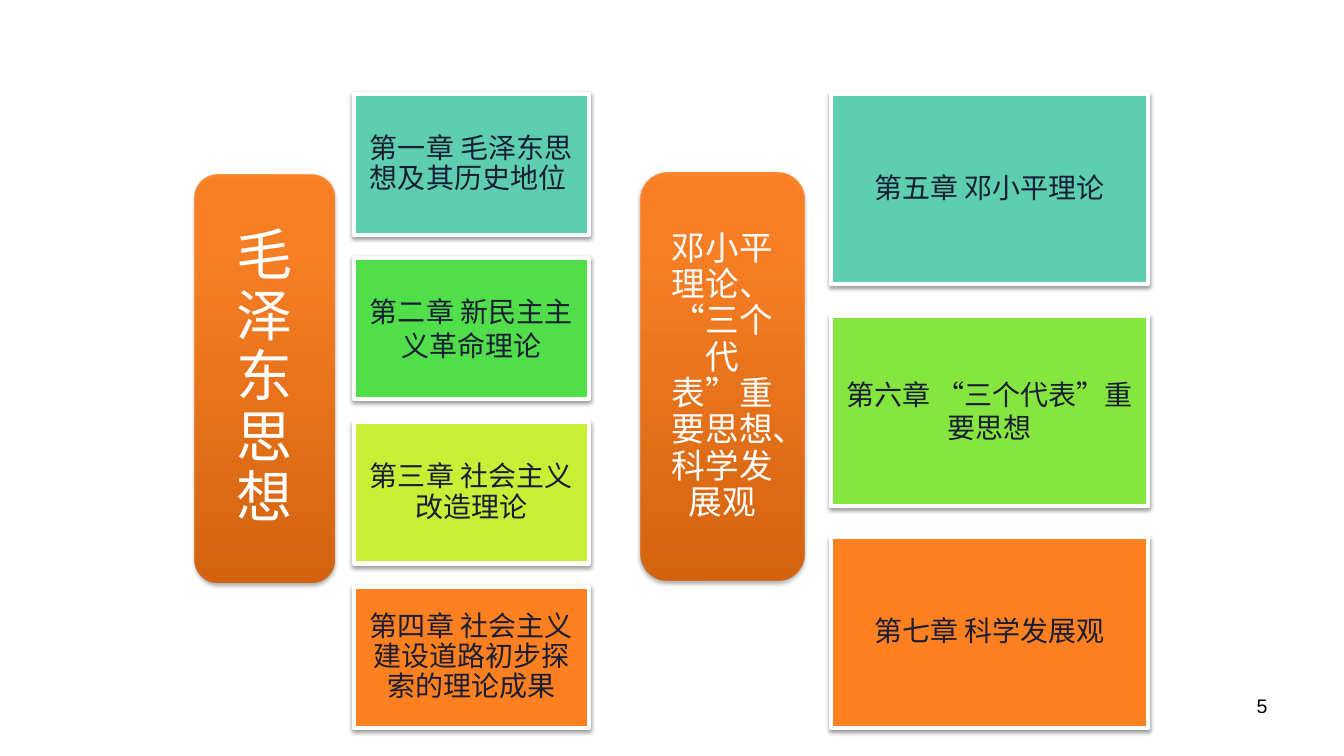
from lxml import etree
from pptx import Presentation
from pptx.dml.color import RGBColor
from pptx.enum.shapes import MSO_SHAPE
from pptx.enum.text import MSO_ANCHOR, PP_ALIGN
from pptx.oxml import parse_xml
from pptx.oxml.ns import nsdecls, qn
from pptx.util import Inches, Pt

COLORS = {
    "teal": "5DCEAF", "green": "50DE4A", "lime": "86E640", "yellow": "CAEE36",
    "orange": "FF8021", "dark": "191D34", "white": "FFFFFF", "black": "000000",
    "banner_bottom": "D75C00", "banner_middle": "FF7B18", "banner_top": "FF7C19",
}
BANNER_STOPS = [(0, "banner_bottom"), (80, "banner_middle"), (100, "banner_top")]
CHINESE_FONT = "Noto Sans CJK SC"
CHAPTERS_TOP, CHAPTERS_BOTTOM = 0.93, 7.22
MAO_CHAPTERS = [
    ("第一章 毛泽东思想及其历史地位 ", "teal", 0.9),
    ("第二章 新民主主义革命理论", "green", 1.0),
    ("第三章 社会主义改造理论", "yellow", 0.9),
    ("第四章 社会主义建设道路初步探索的理论成果", "orange", 0.9),
]
LATER_CHAPTERS = [
    ("第五章 邓小平理论", "teal", 0.9),
    ("第六章 “三个代表”重要思想", "lime", 1.0),
    ("第七章 科学发展观", "orange", 0.9),
]


def rgb(name):
    """Return the named colour."""
    return RGBColor.from_string(COLORS[name])


def add_shadow(shape, opacity, distance):
    """Give the shape a soft shadow that falls straight down."""
    shape.shadow.inherit = False
    effects = shape._element.spPr.find(qn("a:effectLst"))
    effects.append(parse_xml(
        f'<a:outerShdw {nsdecls("a")} blurRad="{Pt(3.1)}" dist="{Pt(distance)}" '
        f'dir="5400000" rotWithShape="0"><a:srgbClr val="{COLORS["black"]}">'
        f'<a:alpha val="{opacity * 1000}"/></a:srgbClr></a:outerShdw>'))


def fill_banner(shape):
    """Fill the banner with its vertical, slightly transparent gradient."""
    shape.fill.gradient()
    shape.fill.gradient_angle = 270
    gradient = shape._element.spPr.find(qn("a:gradFill"))
    gradient.find(qn("a:lin")).set("ang", "16200000")
    stops = gradient.find(qn("a:gsLst"))
    for stop in list(stops):
        stops.remove(stop)
    for position, color in BANNER_STOPS:
        stop = etree.SubElement(stops, qn("a:gs"), pos=str(position * 1000))
        tone = etree.SubElement(stop, qn("a:srgbClr"), val=COLORS[color])
        etree.SubElement(tone, qn("a:alpha"), val="90000")


def write_text(box, text, size, color, font=CHINESE_FONT, align=PP_ALIGN.CENTER,
               anchor=MSO_ANCHOR.MIDDLE, spacing=1.0, insets=(0.1, 0.05)):
    """Write one formatted paragraph into the box."""
    frame = box.text_frame
    frame.word_wrap = True
    frame.vertical_anchor = anchor
    frame.margin_left = frame.margin_right = Inches(insets[0])
    frame.margin_top = frame.margin_bottom = Inches(insets[1])
    para = frame.paragraphs[0]
    para.alignment = align
    para.line_spacing = spacing
    span = para.add_run()
    span.text = text
    span.font.size = Pt(size)
    span.font.name = font
    span.font.color.rgb = rgb(color)
    etree.SubElement(span.font._element, qn("a:ea"), typeface=font)


def add_chapters(page, left, width, height, chapters):
    """Stack the chapter cards evenly between the top and the bottom."""
    pitch = (CHAPTERS_BOTTOM - CHAPTERS_TOP - height) / (len(chapters) - 1)
    for index, (title, color, spacing) in enumerate(chapters):
        card = page.shapes.add_shape(
            MSO_SHAPE.RECTANGLE, Inches(left), Inches(CHAPTERS_TOP + index * pitch),
            Inches(width), Inches(height))
        card.fill.solid()
        card.fill.fore_color.rgb = rgb(color)
        card.line.color.rgb = rgb("white")
        card.line.width = Pt(3)
        add_shadow(card, 38, 1.6)
        write_text(card, title, 20, "dark", spacing=spacing, insets=(0.08, 0.08))


def add_banner(page, left, top, width, height, theory, size):
    """Draw the rounded banner that names a theory."""
    banner = page.shapes.add_shape(
        MSO_SHAPE.ROUNDED_RECTANGLE, Inches(left), Inches(top), Inches(width), Inches(height))
    fill_banner(banner)
    banner.line.fill.background()
    add_shadow(banner, 35, 1.8)
    write_text(banner, theory, size, "white", spacing=0.9, insets=(0.17, 0.22))


def add_page_number(page, left, top, width, height, number):
    """Write the page number at the lower right."""
    box = page.shapes.add_textbox(Inches(left), Inches(top), Inches(width), Inches(height))
    write_text(box, number, 14, "black", font="Arial", align=PP_ALIGN.RIGHT,
               anchor=MSO_ANCHOR.TOP)


def main():
    """Build the chapter overview and save it."""
    deck = Presentation()
    deck.slide_width, deck.slide_height = Inches(13.33), Inches(7.5)
    page = deck.slides.add_slide(deck.slide_layouts[6])
    add_chapters(page, 3.51, 2.33, 1.4, MAO_CHAPTERS)
    add_banner(page, 1.93, 1.73, 1.39, 4.05, "毛泽东思想", 40)
    add_chapters(page, 8.24, 3.15, 1.89, LATER_CHAPTERS)
    add_banner(page, 6.35, 1.71, 1.63, 4.05, "邓小平理论、“三个代表”重要思想、科学发展观", 24)
    add_page_number(page, 9.56, 6.83, 3.11, 0.52, "5")
    deck.save("out.pptx")


if __name__ == "__main__":
    main()
